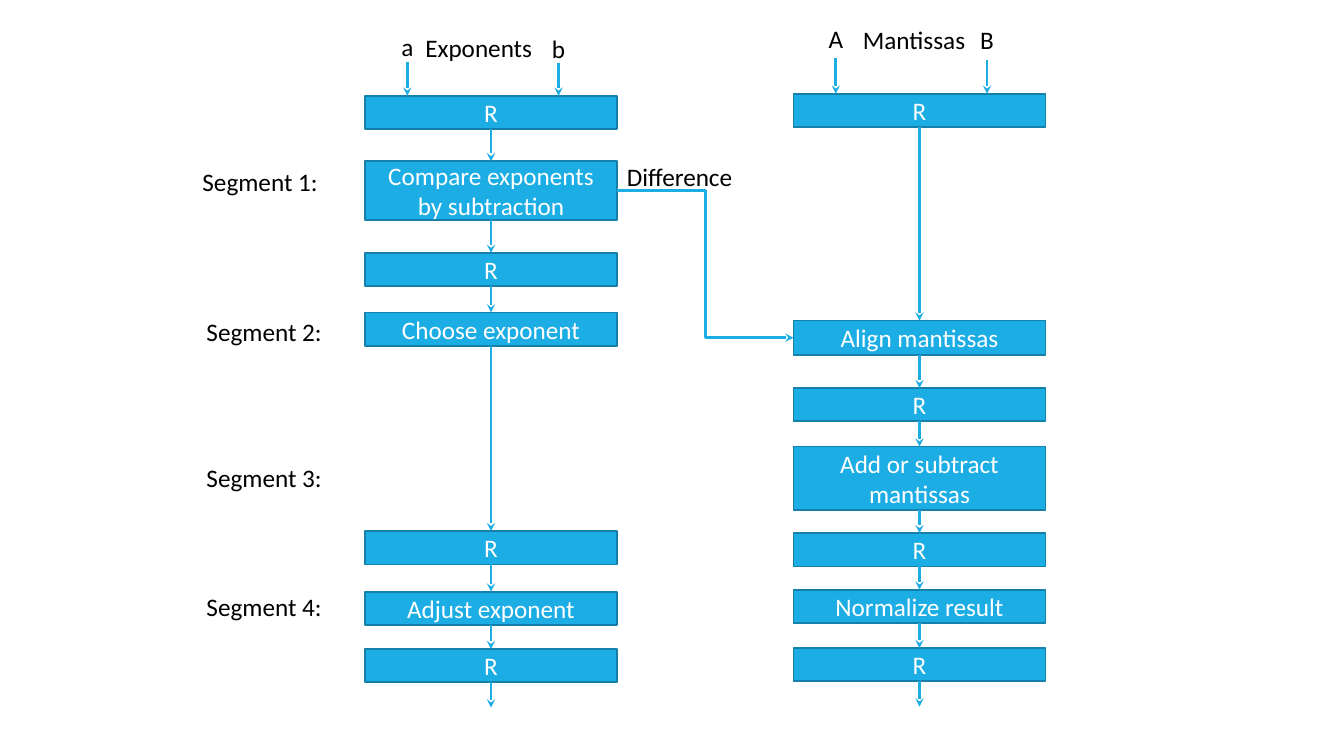
from lxml import etree
from pptx import Presentation
from pptx.dml.color import RGBColor
from pptx.enum.shapes import MSO_CONNECTOR as CONNECTOR, MSO_SHAPE as SHAPE
from pptx.enum.text import MSO_ANCHOR as ANCHOR, MSO_AUTO_SIZE as AUTO_SIZE, PP_ALIGN as ALIGN
from pptx.oxml.ns import qn
from pptx.util import Pt

PX = 9144  # 100 px to the inch
BLUE, EDGE, WHITE, BLACK = "1CADE4", "1580A9", "FFFFFF", "000000"
FONT = {"name": "Calibri", "size": Pt(18)}
STAGE_WIDTH, LABEL_WIDTH, LABEL_HEIGHT = 250, 150, 40
INPUT_WIDTH = 50
OUTPUT_LENGTH = 25
TOP, BOTTOM, LEFT, RIGHT = 0, 2, 1, 3  # connection sites of a rectangle

EXPONENT_LEFT, MANTISSA_LEFT = 362, 787
# (text, top, height)
EXPONENT_STAGES = [
    ("R", 95, 33),
    ("Compare exponents by subtraction", 160, 58),
    ("R", 251, 33),
    ("Choose exponent", 310, 33),
    ("R", 527, 33),
    ("Adjust exponent", 587, 33),
    ("R", 644, 33),
]
MANTISSA_STAGES = [
    ("R", 93, 33),
    ("Align mantissas", 318, 34),
    ("R", 385, 33),
    ("Add or subtract mantissas", 443, 63),
    ("R", 529, 33),
    ("Normalize result", 585, 33),
    ("R", 643, 33),
]
# (text, centre x, label top, arrow start)
EXPONENT_INPUTS = [("a", 404, 26, 62), ("b", 554, 28, 63)]
MANTISSA_INPUTS = [("A", 829, 18, 58), ("B", 979, 19, 60)]
# (text, left, top)
HEADINGS = [("Exponents", 412, 27), ("Mantissas", 846, 19)]
SEGMENTS = [
    ("Segment 1:", 191, 160),
    ("Segment 2:", 195, 309),
    ("Segment 3:", 195, 454),
    ("Segment 4:", 195, 582),
]


def emu(*lengths):
    return [length * PX for length in lengths]


def color(hex_code):
    return RGBColor.from_string(hex_code)


def write(frame, text, text_color, align):
    frame.word_wrap = True
    paragraph = frame.paragraphs[0]
    paragraph.alignment = align
    run = paragraph.add_run()
    run.text = text
    for name, value in FONT.items():
        setattr(run.font, name, value)
    run.font.color.rgb = color(text_color)


def add_label(slide, text, left, top, width=LABEL_WIDTH, align=ALIGN.LEFT):
    label = slide.shapes.add_textbox(*emu(left, top, width, LABEL_HEIGHT))
    write(label.text_frame, text, BLACK, align)
    label.text_frame.auto_size = AUTO_SIZE.SHAPE_TO_FIT_TEXT


def add_stage(slide, text, left, top, height):
    stage = slide.shapes.add_shape(SHAPE.RECTANGLE, *emu(left, top, STAGE_WIDTH, height))
    stage.shadow.inherit = False
    stage.fill.solid()
    stage.fill.fore_color.rgb = color(BLUE)
    stage.line.color.rgb = color(EDGE)
    stage.line.width = Pt(1.25)
    stage.text_frame.vertical_anchor = ANCHOR.MIDDLE
    write(stage.text_frame, text, WHITE, ALIGN.CENTER)
    return stage


def add_arrow(slide, start=(0, 0), end=(0, 0), kind=CONNECTOR.STRAIGHT):
    arrow = slide.shapes.add_connector(kind, *emu(*start, *end))
    arrow.line.color.rgb = color(BLUE)
    arrow.line.width = Pt(2)
    properties = arrow._element.spPr
    etree.SubElement(properties.find(qn("a:ln")), qn("a:tailEnd"), type="stealth")
    etree.SubElement(properties, qn("a:effectLst"))
    return arrow


def link(slide, source, source_site, target, target_site, kind=CONNECTOR.STRAIGHT):
    """Join two stages with an arrow attached at the given sites."""
    arrow = add_arrow(slide, kind=kind)
    arrow.begin_connect(source, source_site)
    arrow.end_connect(target, target_site)


def add_pipeline(slide, left, stages, inputs):
    """Draw one column: inputs, stages, the arrows between them and the output."""
    boxes = [add_stage(slide, text, left, top, height) for text, top, height in stages]
    for source, target in zip(boxes, boxes[1:]):
        link(slide, source, BOTTOM, target, TOP)
    first_top = stages[0][1]
    for text, center, label_top, arrow_top in inputs:
        add_label(slide, text, center - INPUT_WIDTH // 2, label_top, INPUT_WIDTH, ALIGN.CENTER)
        add_arrow(slide, (center, arrow_top), (center, first_top))
    _, last_top, last_height = stages[-1]
    center, output_top = left + STAGE_WIDTH // 2, last_top + last_height
    add_arrow(slide, (center, output_top), (center, output_top + OUTPUT_LENGTH))
    return boxes


def main():
    deck = Presentation()
    deck.slide_width, deck.slide_height = emu(1333, 750)
    slide = deck.slides.add_slide(deck.slide_layouts[6])

    exponents = add_pipeline(slide, EXPONENT_LEFT, EXPONENT_STAGES, EXPONENT_INPUTS)
    mantissas = add_pipeline(slide, MANTISSA_LEFT, MANTISSA_STAGES, MANTISSA_INPUTS)
    compare, align = exponents[1], mantissas[1]
    link(slide, compare, RIGHT, align, LEFT, CONNECTOR.ELBOW)
    add_label(slide, "Difference", EXPONENT_LEFT + STAGE_WIDTH, 155)
    for text, left, top in HEADINGS + SEGMENTS:
        add_label(slide, text, left, top)

    deck.save("out.pptx")


if __name__ == "__main__":
    main()
